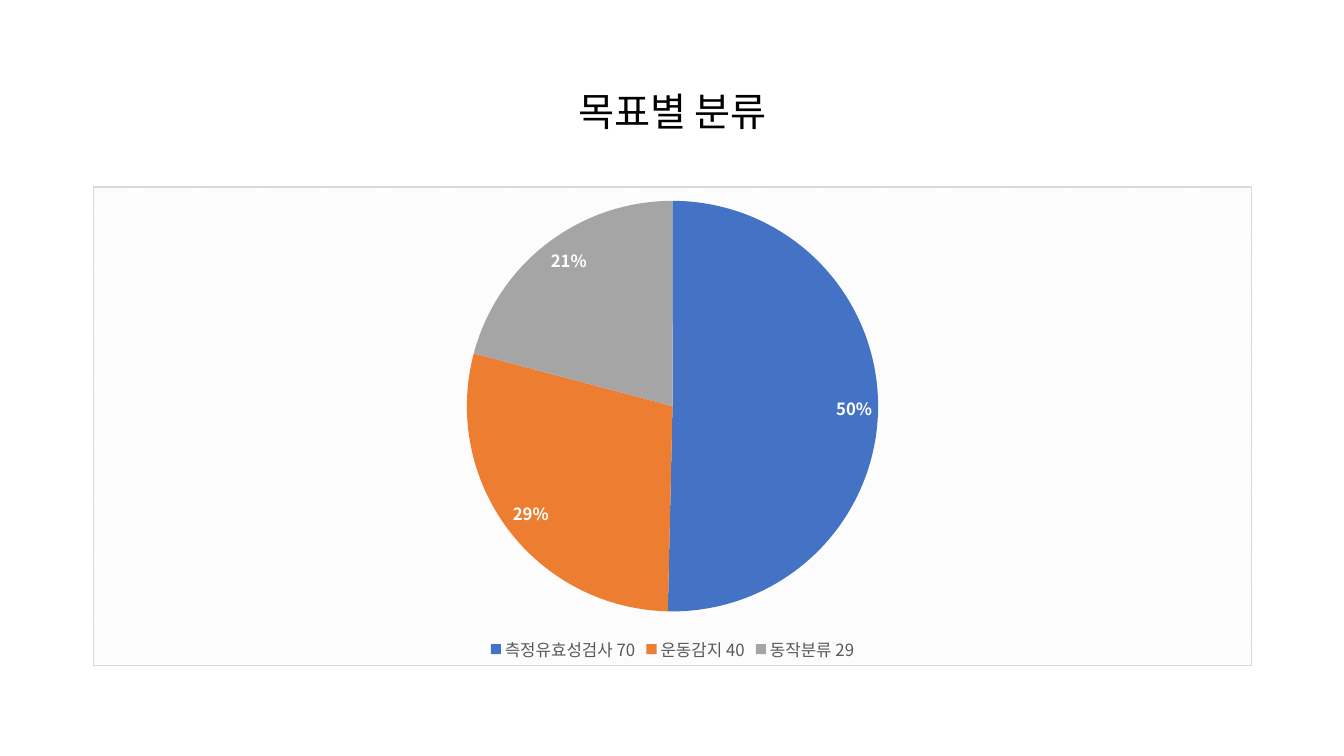
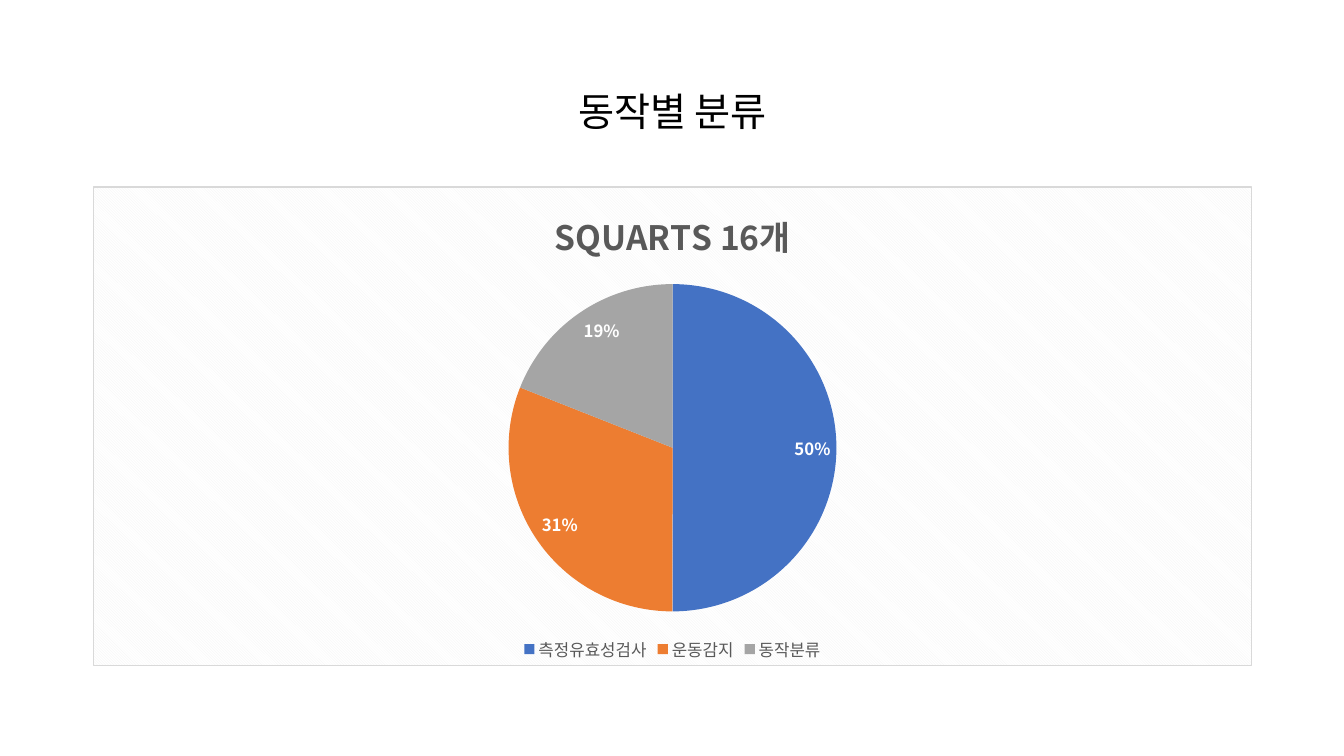
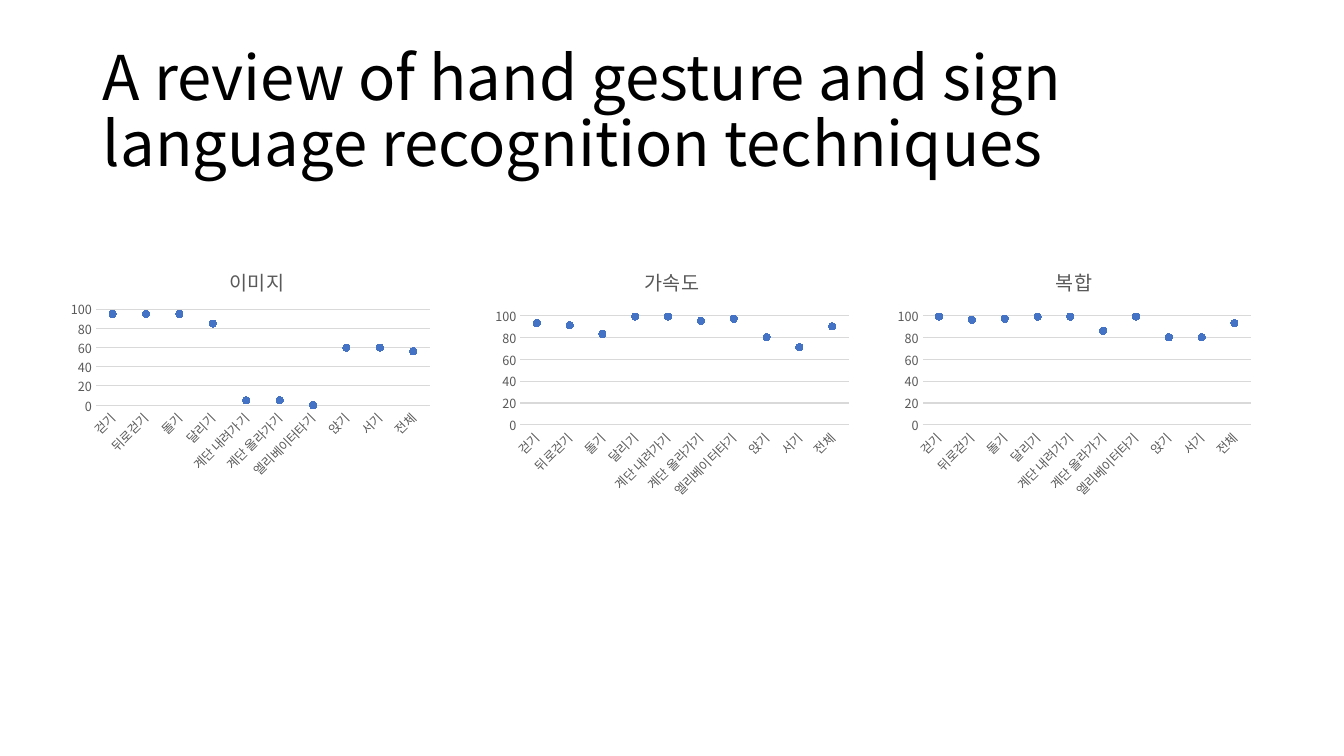
from dataclasses import dataclass

from lxml.etree import SubElement
from pptx import Presentation
from pptx.chart.chart import Chart
from pptx.chart.data import CategoryChartData as ChartData
from pptx.dml.color import RGBColor
from pptx.enum.chart import (
    XL_CHART_TYPE as Kind,
    XL_LABEL_POSITION as Spot,
    XL_LEGEND_POSITION as Side,
    XL_MARKER_STYLE as Mark,
    XL_TICK_MARK as Tick,
)
from pptx.enum.text import MSO_ANCHOR, MSO_AUTO_SIZE, PP_ALIGN as Align
from pptx.oxml import parse_xml
from pptx.oxml.ns import nsdecls, qn
from pptx.slide import Slide
from pptx.text.text import Font, TextFrame
from pptx.util import Inches, Pt

FACE = "Noto Sans CJK KR"
BLACK = RGBColor(0x00, 0x00, 0x00)
WHITE = RGBColor(0xFF, 0xFF, 0xFF)
GRAY = RGBColor(0x59, 0x59, 0x59)
RULE = RGBColor(0xD9, 0xD9, 0xD9)
HATCH = RGBColor(0xF2, 0xF2, 0xF2)
BLUE = RGBColor(0x44, 0x72, 0xC4)
SLICES = (BLUE, RGBColor(0xED, 0x7D, 0x31), RGBColor(0xA5, 0xA5, 0xA5))

LEFT, WIDTH = 0.92, 11.5
HEAD_TOP, HEAD_HIGH = 0.4, 1.45
PIE_HIGH = 4.76
DOT_TOP, DOT_HIGH = 2.49, 2.51

MOVES = ("걷기", "뒤로걷기", "돌기", "달리기", "계단 내려가기",
         "계단 올라가기", "엘리베이터타기", "앉기", "서기", "전체")


@dataclass(frozen=True)
class Pie:
    head: str
    names: tuple[str, ...]
    vals: tuple[int, ...]
    title: str = ""


@dataclass(frozen=True)
class Dots:
    title: str
    left: float
    width: float
    vals: tuple[int, ...]
    frame: tuple[float, float, float, float] | None = None


PIES = (
    Pie("목표별 분류", ("측정유효성검사 70", "운동감지 40", "동작분류 29"),
        (70, 40, 29)),
    Pie("동작별 분류", ("측정유효성검사", "운동감지", "동작분류"),
        (50, 31, 19), "SQUARTS 16개"),
)
DOTS = (
    Dots("이미지", 0.6, 3.9, (95, 95, 95, 85, 5, 5, 0, 60, 60, 56),
         (0.09, 0.23, 0.85, 0.38)),
    Dots("가속도", 4.84, 3.65, (93, 91, 83, 99, 99, 95, 97, 80, 71, 90)),
    Dots("복합", 8.83, 3.65, (99, 96, 97, 99, 99, 86, 99, 80, 80, 93)),
)


def style(font: Font, size: float, color: RGBColor, bold: bool = False) -> None:
    font.name, font.size, font.bold = FACE, Pt(size), bold
    font.color.rgb = color


def add_asian(root) -> None:
    """Give East Asian text the same face as Latin text."""
    for latin in list(root.iter(qn("a:latin"))):
        latin.addnext(parse_xml(f'<a:ea {nsdecls("a")} typeface="{FACE}"/>'))


def write(frame: TextFrame, text: str, size: float, color: RGBColor,
          bold: bool = False) -> None:
    frame.text = text
    for run in frame.paragraphs[0].runs:
        style(run.font, size, color, bold)


def add_slide(deck, head: str, size: float, align: Align) -> Slide:
    slide = deck.slides.add_slide(deck.slide_layouts[5])
    frame = slide.shapes.title.text_frame
    frame.word_wrap = True
    frame.auto_size = MSO_AUTO_SIZE.NONE
    frame.vertical_anchor = MSO_ANCHOR.MIDDLE
    write(frame, head, size, BLACK)
    frame.paragraphs[0].alignment = align
    frame.paragraphs[0].line_spacing = 0.9
    add_asian(frame._txBody)
    return slide


def add_chart(slide: Slide, kind: Kind, box: tuple[float, ...],
              names: tuple[str, ...], vals: tuple[int, ...]) -> Chart:
    data = ChartData()
    data.categories = names
    data.add_series("Series 1", vals)
    chart = slide.shapes.add_chart(kind, *map(Inches, box), data).chart
    style(chart.font, 10, BLACK)
    chart.has_legend = False
    chart.has_title = False
    return chart


def add_hatch(chart: Chart) -> None:
    """Fill the chart area with diagonal stripes inside a thin border."""
    area = chart._chartSpace.find(qn("c:chart"))
    area.addnext(parse_xml(
        f'<c:spPr {nsdecls("c", "a")}><a:pattFill prst="dkDnDiag">'
        f'<a:fgClr><a:srgbClr val="{HATCH}"/></a:fgClr>'
        f'<a:bgClr><a:srgbClr val="{WHITE}"/></a:bgClr></a:pattFill>'
        f'<a:ln w="{Pt(0.75)}"><a:solidFill><a:srgbClr val="{RULE}"/>'
        f'</a:solidFill></a:ln></c:spPr>'))


def draw_pie(slide: Slide, pie: Pie) -> None:
    box = (LEFT, HEAD_TOP + HEAD_HIGH, WIDTH, PIE_HIGH)
    chart = add_chart(slide, Kind.PIE, box, pie.names, pie.vals)
    if pie.title:
        write(chart.chart_title.text_frame, pie.title, 24, GRAY, True)
    chart.has_legend = True
    chart.legend.position = Side.BOTTOM
    chart.legend.include_in_layout = False
    style(chart.legend.font, 12, GRAY)

    plot = chart.plots[0]
    plot.vary_by_categories = True
    for i, color in enumerate(SLICES):
        fill = plot.series[0].points[i].format.fill
        fill.solid()
        fill.fore_color.rgb = color
    plot.has_data_labels = True
    tags = plot.data_labels
    tags.show_value, tags.show_percentage = False, True
    tags.number_format, tags.number_format_is_linked = "0%", False
    tags.position = Spot.INSIDE_END
    style(tags.font, 12, WHITE, True)
    add_hatch(chart)
    add_asian(chart._chartSpace)


def set_frame(chart: Chart, frame: tuple[float, ...]) -> None:
    """Place the inner plot area, in parts of the chart's size."""
    area = chart._chartSpace.find(qn("c:chart")).find(qn("c:plotArea"))
    for old in area.findall(qn("c:layout")):
        area.remove(old)
    layout = parse_xml(f'<c:layout {nsdecls("c")}><c:manualLayout/></c:layout>')
    parts = [("layoutTarget", "inner"), ("xMode", "edge"), ("yMode", "edge")]
    parts += zip("xywh", map(str, frame))
    for tag, val in parts:
        SubElement(layout[0], qn(f"c:{tag}")).set("val", val)
    area.insert(0, layout)


def draw_dots(slide: Slide, dots: Dots) -> None:
    box = (dots.left, DOT_TOP, dots.width, DOT_HIGH)
    chart = add_chart(slide, Kind.LINE_MARKERS_STACKED, box, MOVES, dots.vals)
    write(chart.chart_title.text_frame, dots.title, 14, GRAY)

    row = chart.plots[0].series[0]
    row.smooth = False
    row.format.line.fill.background()
    row.marker.style, row.marker.size = Mark.CIRCLE, 5
    row.marker.format.fill.solid()
    row.marker.format.fill.fore_color.rgb = BLUE
    row.marker.format.line.color.rgb = BLUE

    base, scale = chart.category_axis, chart.value_axis
    for axis in (base, scale):
        axis.major_tick_mark = axis.minor_tick_mark = Tick.NONE
        style(axis.tick_labels.font, 9, GRAY)
    scale.minimum_scale, scale.maximum_scale = 0, 100
    scale.major_unit = 20
    scale.has_major_gridlines = True
    scale.format.line.fill.background()
    for line in (base.format.line, scale.major_gridlines.format.line):
        line.color.rgb = RULE
        line.width = Pt(0.75)
    body = base._element.find(qn("c:txPr")).find(qn("a:bodyPr"))
    body.set("rot", str(-45 * 60000))
    if dots.frame:
        set_frame(chart, dots.frame)
    add_asian(chart._chartSpace)


def main() -> None:
    deck = Presentation()
    deck.slide_width, deck.slide_height = Inches(13.33), Inches(7.5)
    head = deck.slide_layouts[5].placeholders[0]
    head.left, head.top = Inches(LEFT), Inches(HEAD_TOP)
    head.width, head.height = Inches(WIDTH), Inches(HEAD_HIGH)

    for pie in PIES:
        draw_pie(add_slide(deck, pie.head, 28, Align.CENTER), pie)
    last = add_slide(
        deck, "A review of hand gesture and sign language recognition techniques",
        44, Align.LEFT)
    for dots in DOTS:
        draw_dots(last, dots)
    deck.save("out.pptx")


if __name__ == "__main__":
    main()
